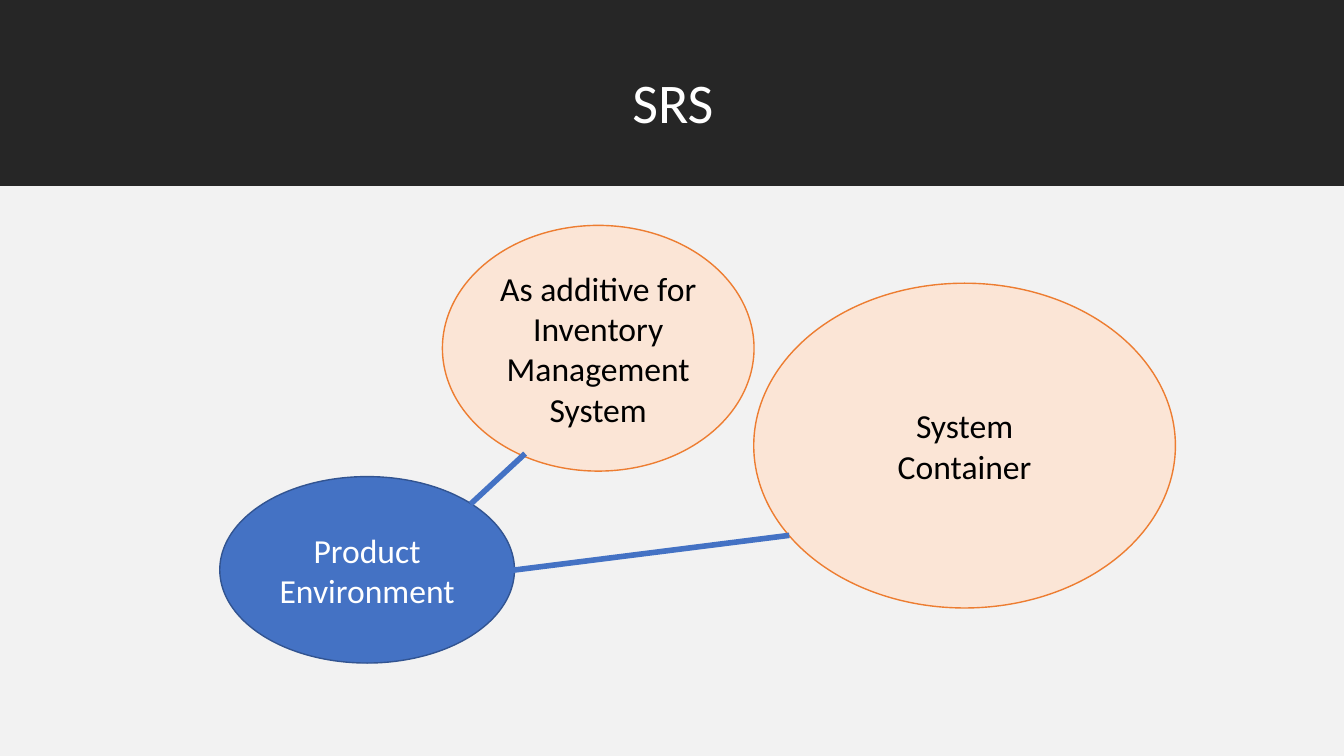
from pptx import Presentation
from pptx.dml.color import RGBColor
from pptx.enum import shapes, text
from pptx.oxml.ns import qn
from pptx.util import Pt
from lxml import etree

WHITE = RGBColor(0xFF, 0xFF, 0xFF)
BLACK = RGBColor(0, 0, 0)
DARK = RGBColor(0x26, 0x26, 0x26)
PALE = RGBColor(0xF2, 0xF2, 0xF2)
BLUE = RGBColor(0x44, 0x72, 0xC4)
NAVY = RGBColor(0x32, 0x54, 0x91)
PEACH = RGBColor(0xFB, 0xE5, 0xD6)
ORANGE = RGBColor(0xED, 0x7D, 0x31)

# Content: lengths in points
WIDTH, HEIGHT, HEADER_HEIGHT = 960, 540, 133
HEADING = "SRS"
HEADING_BOX = (91.5, 50.4, 778.3, 70.6)
BUBBLES = [  # paragraphs, box, fill, outline, font colour
    (["Product Environment"], (157, 340.4, 210.5, 133.2), BLUE, NAVY, WHITE),
    (["As additive for Inventory Management System"],
     (316, 161, 222.6, 175.5), PEACH, ORANGE, BLACK),
    (["System", "Container"], (538.4, 202.3, 301.2, 232), PEACH, ORANGE, BLACK),
]
LINKS = [(336.2, 360, 375.1, 324), (359.3, 408.2, 563.8, 382.4)]


def points(values):
    return [Pt(value) for value in values]


def style(paragraph, size, color):
    paragraph.alignment = text.PP_ALIGN.CENTER
    paragraph.font.name = "Calibri"
    paragraph.font.size = Pt(size)
    paragraph.font.color.rgb = color


def add_filled(slide, kind, box, fill, outline=None):
    shape = slide.shapes.add_shape(kind, *points(box))
    shape.shadow.inherit = False
    shape.fill.solid()
    shape.fill.fore_color.rgb = fill
    if outline is None:
        shape.line.fill.background()
    else:
        shape.line.color.rgb = outline
        shape.line.width = Pt(1)
    return shape


def add_bubble(slide, lines, box, fill, outline, color):
    bubble = add_filled(slide, shapes.MSO_SHAPE.OVAL, box, fill, outline)
    frame = bubble.text_frame
    frame.word_wrap = True
    frame.vertical_anchor = text.MSO_ANCHOR.MIDDLE
    frame.text = "\n".join(lines)
    for paragraph in frame.paragraphs:
        style(paragraph, 24, color)


def add_link(slide, ends):
    link = slide.shapes.add_connector(shapes.MSO_CONNECTOR.STRAIGHT, *points(ends))
    link.line.color.rgb = BLUE
    link.line.width = Pt(4)
    etree.SubElement(link.element.spPr, qn("a:effectLst"))


def main():
    deck = Presentation()
    deck.slide_width, deck.slide_height = Pt(WIDTH), Pt(HEIGHT)
    slide = deck.slides.add_slide(deck.slide_layouts[5])

    # Header and body bands, with the title above the header
    rectangle = shapes.MSO_SHAPE.RECTANGLE
    header = add_filled(slide, rectangle, (0, 0, WIDTH, HEADER_HEIGHT), DARK)
    add_filled(slide, rectangle,
               (0, HEADER_HEIGHT, WIDTH, HEIGHT - HEADER_HEIGHT), PALE)
    title = slide.shapes.title
    header.element.addnext(title.element)
    title.left, title.top, title.width, title.height = points(HEADING_BOX)
    title.text_frame.text = HEADING
    title.text_frame.auto_size = text.MSO_AUTO_SIZE.NONE
    title.text_frame.vertical_anchor = text.MSO_ANCHOR.TOP
    heading = title.text_frame.paragraphs[0]
    heading.line_spacing = 0.9
    style(heading, 40, WHITE)

    # Bubbles and the lines that join them
    for bubble in BUBBLES:
        add_bubble(slide, *bubble)
    for ends in LINKS:
        add_link(slide, ends)

    deck.save("out.pptx")


if __name__ == "__main__":
    main()
